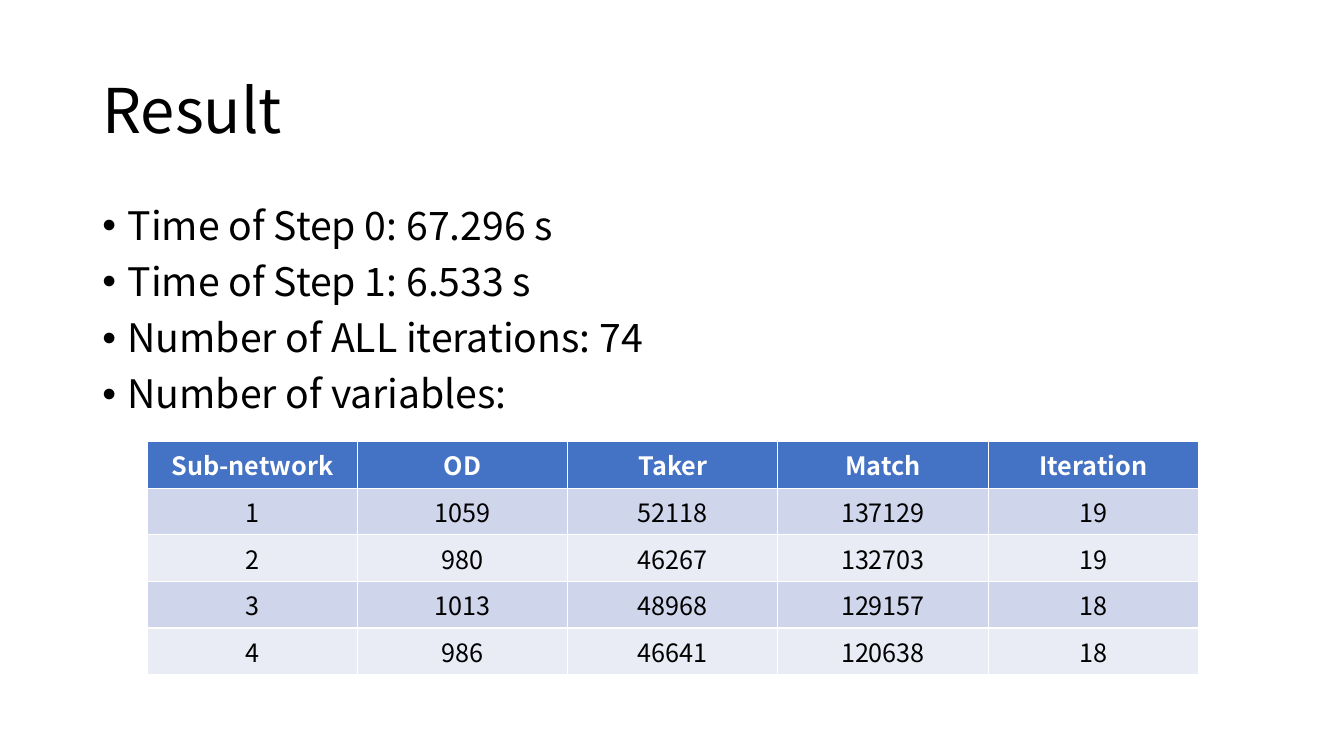
from dataclasses import dataclass

from pptx import Presentation
from pptx.dml.color import RGBColor
from pptx.enum.text import MSO_ANCHOR, MSO_AUTO_SIZE, PP_ALIGN
from pptx.util import Pt

TITLE = "Result"
FINDINGS = [
    "Time of Step 0: 67.296 s",
    "Time of Step 1: 6.533 s",
    "Number of ALL iterations: 74",
    "Number of variables:",
]
VARIABLES = [
    ("Sub-network", "OD", "Taker", "Match", "Iteration"),
    (1, 1059, 52118, 137129, 19),
    (2, 980, 46267, 132703, 19),
    (3, 1013, 48968, 129157, 18),
    (4, 986, 46641, 120638, 18),
]


@dataclass(frozen=True)
class Theme:
    font: str = "Noto Sans CJK SC"
    ink: str = "000000"
    white: str = "FFFFFF"
    header: str = "4472C4"
    bands: tuple = ("CFD5EA", "E9EBF5")
    title_size: int = 44
    body_size: int = 28
    table_size: int = 18


THEME = Theme()


def style(p, size, color, align, bold=False):
    """Format a whole paragraph."""
    p.alignment = align
    p.font.name = THEME.font
    p.font.size = Pt(size)
    p.font.bold = bold
    p.font.color.rgb = RGBColor.from_string(color)


def place(shape, left, top, width, height):
    """Move and size a shape, in points."""
    shape.left, shape.top = Pt(left), Pt(top)
    shape.width, shape.height = Pt(width), Pt(height)


def add_title(s):
    """Fill the title placeholder."""
    title = s.shapes.title
    place(title, 66, 28.8, 828, 104.4)
    tf = title.text_frame
    tf.text = TITLE
    tf.vertical_anchor = MSO_ANCHOR.MIDDLE
    p = tf.paragraphs[0]
    style(p, THEME.title_size, THEME.ink, PP_ALIGN.LEFT)
    p.line_spacing = 0.9


def add_findings(s):
    """Fill the body placeholder with the bulleted findings."""
    body = s.placeholders[1]
    place(body, 66, 143.75, 828, 342.6)
    tf = body.text_frame
    tf.text = "\n".join(FINDINGS)
    tf.auto_size = MSO_AUTO_SIZE.TEXT_TO_FIT_SHAPE
    for i, p in enumerate(tf.paragraphs):
        pPr = p._p.get_or_add_pPr()
        pPr.set("marL", str(Pt(18)))
        pPr.set("indent", str(Pt(-18)))
        style(p, THEME.body_size, THEME.ink, PP_ALIGN.LEFT)
        p.line_spacing = 0.9
        p.space_before = Pt(10 if i else 0)


def add_variables(s):
    """Add the banded table of variable counts."""
    rows, cols = len(VARIABLES), len(VARIABLES[0])
    frame = s.shapes.add_table(rows, cols, Pt(105.1), Pt(315.5), Pt(751), Pt(146))
    for r, values in enumerate(VARIABLES):
        head = r == 0
        fill = THEME.header if head else THEME.bands[(r - 1) % 2]
        color = THEME.white if head else THEME.ink
        for c, value in enumerate(values):
            cell = frame.table.cell(r, c)
            cell.text = str(value)
            cell.fill.solid()
            cell.fill.fore_color.rgb = RGBColor.from_string(fill)
            p = cell.text_frame.paragraphs[0]
            style(p, THEME.table_size, color, PP_ALIGN.CENTER, head)


def main():
    """Build the slide and save it."""
    prs = Presentation()
    prs.slide_width, prs.slide_height = Pt(960), Pt(540)
    s = prs.slides.add_slide(prs.slide_layouts[1])
    add_title(s)
    add_findings(s)
    add_variables(s)
    prs.save("out.pptx")


if __name__ == "__main__":
    main()
